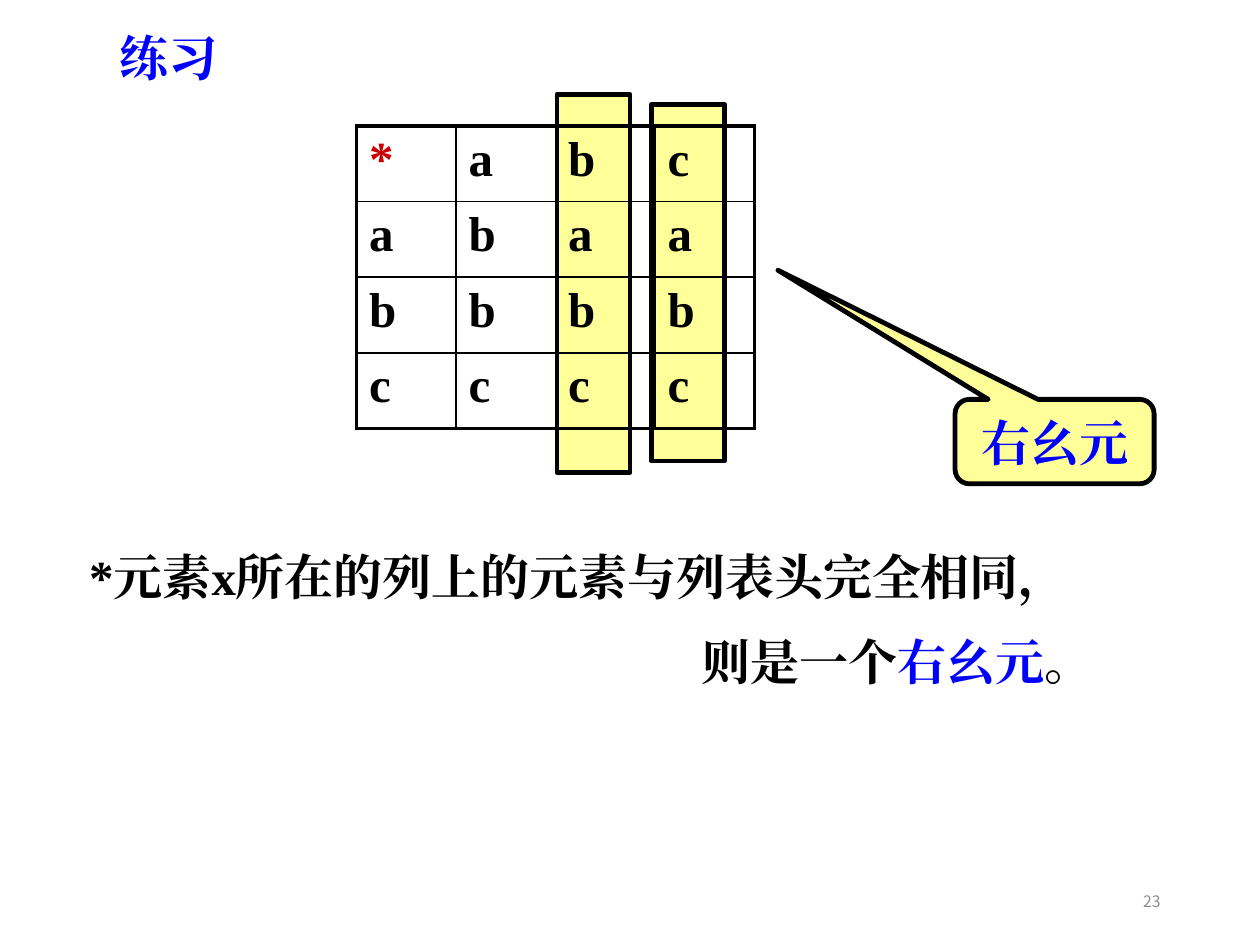
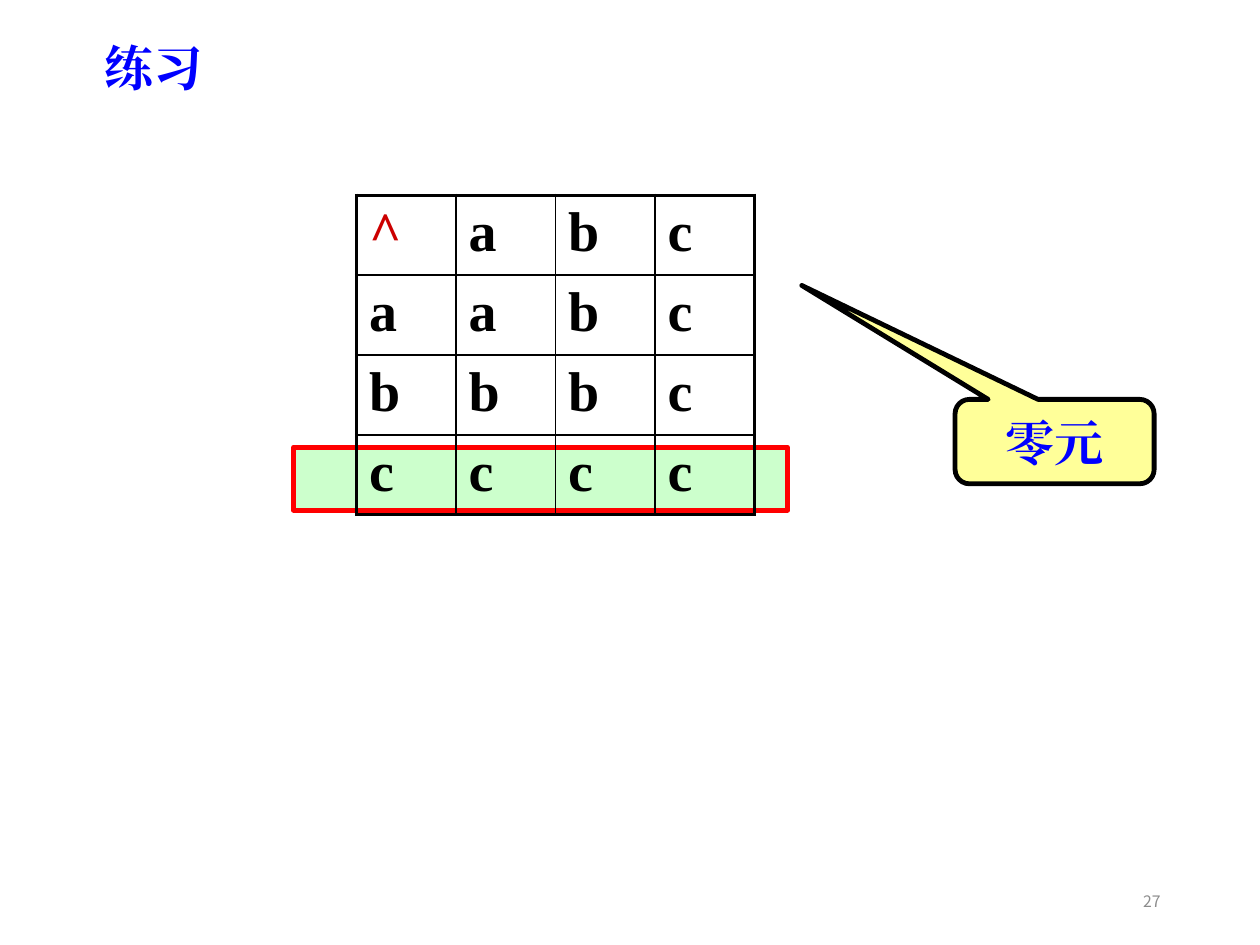
"""Builds two exercise slides on identity and zero elements of operation tables."""
from lxml import etree
from pptx import Presentation
from pptx.dml.color import RGBColor
from pptx.enum.shapes import MSO_SHAPE
from pptx.enum.text import MSO_ANCHOR, PP_ALIGN
from pptx.oxml.ns import qn
from pptx.util import Inches, Pt

RECT, CALLOUT = MSO_SHAPE.RECTANGLE, MSO_SHAPE.ROUNDED_RECTANGULAR_CALLOUT
TOP, MIDDLE = MSO_ANCHOR.TOP, MSO_ANCHOR.MIDDLE
LEFT, CENTER, RIGHT = PP_ALIGN.LEFT, PP_ALIGN.CENTER, PP_ALIGN.RIGHT

SERIF, SANS = "Times New Roman", "Noto Sans CJK SC"
BLACK, BLUE, RED, DARK_RED = "000000", "0000FF", "FF0000", "CC0000"
YELLOW, GREEN, GRAY = "FFFF99", "CCFFCC", "8C8C8C"
THIN, THICK, OUTLINE = 1, 2.25, 2.75
TABLE_LEFT, COLUMN_WIDTH = 2.83, 0.79
CALLOUT_BOX = (7.58, 3.17, 1.58, 0.67)
NUMBER_BOX = (7.06, 6.95, 2.25, 0.4)
RULE_BOX, RULE_INDENT = (0.61, 4.08, 9, 1.47), 4.86

SLIDES = [
    {
        "title": (0.85, 0.17),
        "highlights": [((5.17, 0.83, 0.58, 2.83), YELLOW, BLACK),
                       ((4.42, 0.75, 0.58, 3), YELLOW, BLACK)],
        "table": ["*abc", "abaa", "bbbb", "cccc"],
        "table_top": 1, "row_height": 0.6, "size": 28,
        "callout": "右幺元", "pointer": (-1.39, -2.03, 0.17),
        "rule": [[("*元素x所在的列上的元素与列表头完全相同，", BLACK)],
                 [("则是一个", BLACK), ("右幺元", BLUE), ("。", BLACK)]],
        "number": "23",
    },
    {
        "title": (0.73, 0.25),
        "highlights": [((2.33, 3.55, 3.92, 0.5), GREEN, RED)],
        "table": ["^abc", "aabc", "bbbc", "cccc"],
        "table_top": 1.55, "row_height": 0.63, "size": 32,
        "callout": "零元", "pointer": (-1.27, -1.85, 0.17),
        "rule": [],
        "number": "27",
    },
]


def rgb(color):
    return RGBColor.from_string(color)


def add_run(p, text, size=28, color=BLACK, bold=True, font=SERIF):
    r = p.add_run()
    r.text = text
    r.font.size, r.font.bold, r.font.name = Pt(size), bold, font
    r.font.color.rgb = rgb(color)
    etree.SubElement(r._r.get_or_add_rPr(), qn("a:ea"), typeface=font)


def write(tf, text, align=LEFT, **style):
    p = tf.paragraphs[0]
    p.alignment = align
    add_run(p, text, **style)


def add_textbox(s, box, wrap=True, anchor=TOP):
    tf = s.shapes.add_textbox(*map(Inches, box)).text_frame
    tf.word_wrap, tf.vertical_anchor = wrap, anchor
    return tf


def add_outlined(s, kind, box, fill, line):
    sp = s.shapes.add_shape(kind, *map(Inches, box))
    sp.shadow.inherit = False
    sp.fill.solid()
    sp.fill.fore_color.rgb = rgb(fill)
    sp.line.color.rgb = rgb(line)
    sp.line.width = Pt(OUTLINE)
    return sp


def set_border(cell, side, width):
    ln = etree.SubElement(cell._tc.get_or_add_tcPr(), qn(f"a:ln{side}"), w=str(Pt(width)))
    fill = etree.SubElement(ln, qn("a:solidFill"))
    etree.SubElement(fill, qn("a:srgbClr"), val=BLACK)


def add_operation_table(s, rows, top, row_height, size):
    n = len(rows)
    box = (TABLE_LEFT, top, n * COLUMN_WIDTH, n * row_height)
    table = s.shapes.add_table(n, n, *map(Inches, box)).table
    table.first_row = table.horz_banding = False
    for i, row in enumerate(rows):
        table.rows[i].height = Inches(row_height)
        table.columns[i].width = Inches(COLUMN_WIDTH)
        for j, text in enumerate(row):
            cell = table.cell(i, j)
            outer = {"L": j == 0, "R": j == n - 1, "T": i == 0, "B": i == n - 1}
            for side, is_outer in outer.items():
                set_border(cell, side, THICK if is_outer else THIN)
            cell.fill.background()
            write(cell.text_frame, text, size=size,
                  color=DARK_RED if i == j == 0 else BLACK)


def add_rule(s, lines):
    tf = add_textbox(s, RULE_BOX)
    for i, line in enumerate(lines):
        p = tf.add_paragraph() if i else tf.paragraphs[0]
        p.line_spacing = 1.45
        if i:
            p._p.get_or_add_pPr().set("marL", str(Inches(RULE_INDENT)))
        for text, color in line:
            add_run(p, text, color=color)


def build_slide(prs, content):
    s = prs.slides.add_slide(prs.slide_layouts[6])
    for box, fill, line in content["highlights"]:
        add_outlined(s, RECT, box, fill, line)
    title = add_textbox(s, (*content["title"], 0.99, 0.57), wrap=False)
    write(title, "练习", color=BLUE)
    add_operation_table(s, content["table"], content["table_top"],
                        content["row_height"], content["size"])
    sp = add_outlined(s, CALLOUT, CALLOUT_BOX, YELLOW, BLACK)
    for i, value in enumerate(content["pointer"]):
        sp.adjustments[i] = value
    sp.text_frame.vertical_anchor = MIDDLE
    write(sp.text_frame, content["callout"], align=CENTER, color=BLUE)
    if content["rule"]:
        add_rule(s, content["rule"])
    write(add_textbox(s, NUMBER_BOX, anchor=MIDDLE), content["number"],
          align=RIGHT, size=9, color=GRAY, bold=False, font=SANS)


def main():
    prs = Presentation()
    prs.slide_width, prs.slide_height = Inches(10), Inches(7.5)
    for content in SLIDES:
        build_slide(prs, content)
    prs.save("out.pptx")


if __name__ == "__main__":
    main()
